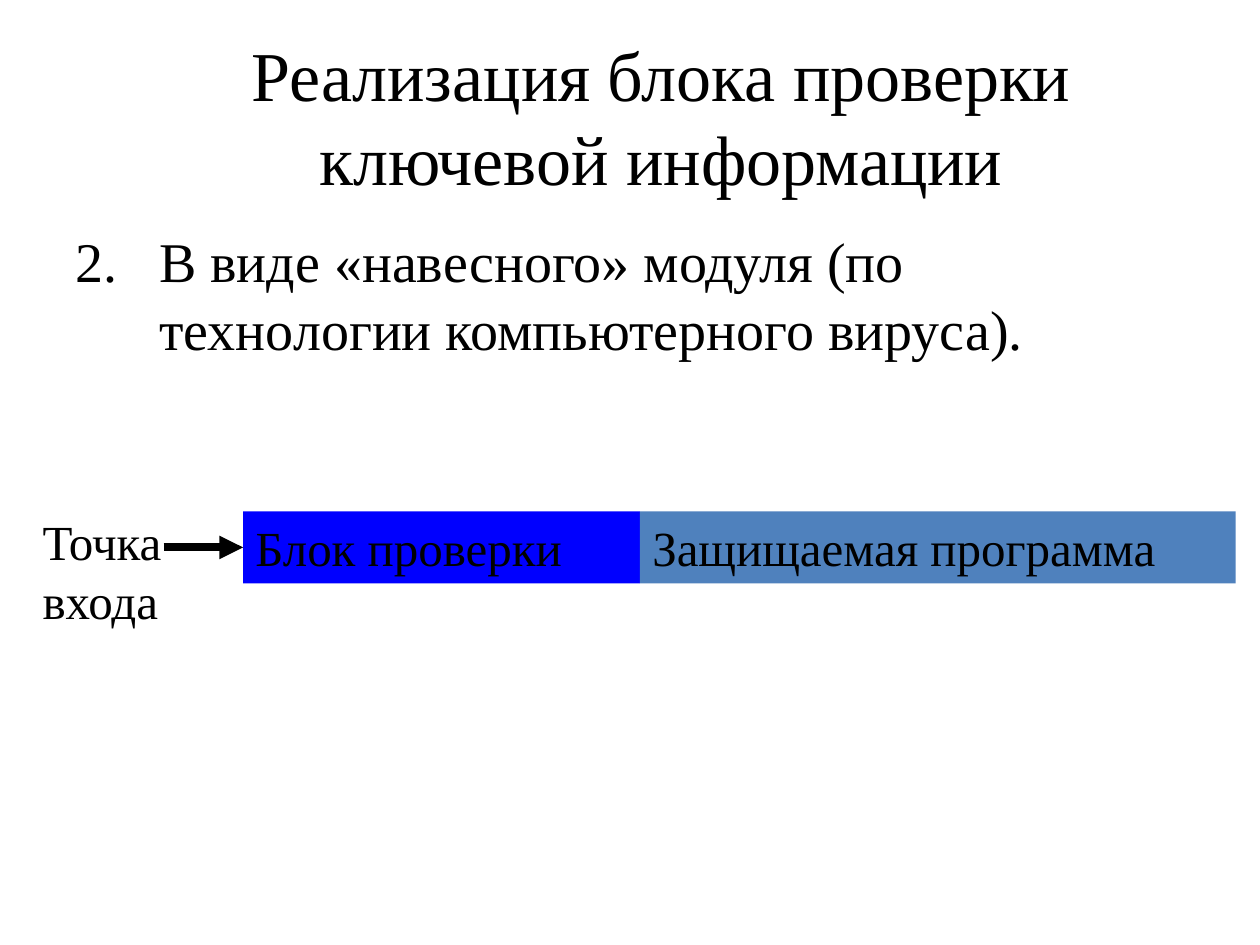
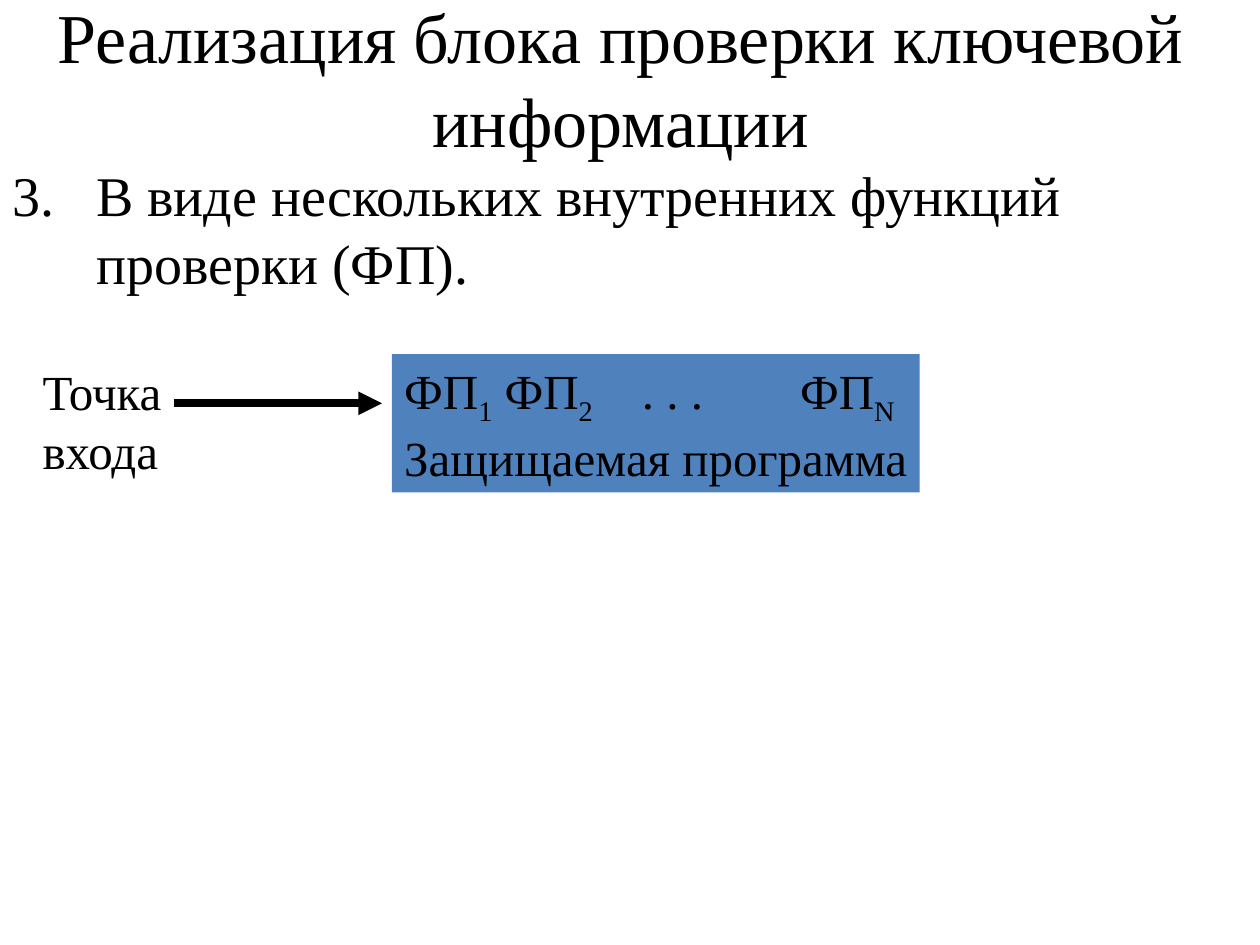
import pptx
import pptx.dml.color
import pptx.enum.shapes
import pptx.enum.text
import pptx.oxml
import pptx.oxml.ns
import pptx.util
from pptx.util import Cm

BLACK = pptx.dml.color.RGBColor(0x00, 0x00, 0x00)
PROGRAM_BLUE = pptx.dml.color.RGBColor(0x4F, 0x81, 0xBD)
CHECK_BLUE = pptx.dml.color.RGBColor(0x00, 0x00, 0xFF)
FONT_NAME = "Times New Roman"
TITLE_SIZE, ITEM_SIZE, LABEL_SIZE = 40, 32, 28

TITLE = "Реализация блока проверки ключевой информации"
ENTRY = "Точка\nвхода"
PROGRAM = "Защищаемая программа"

# Places are (left, top, width, height) in centimetres.
# Box text is a list of (text, is_subscript) pieces.
SLIDES = [
    {
        "title_place": (2.11, 0.74, 22.43, 3.18),
        "item": (2, "В виде «навесного» модуля (по технологии компьютерного вируса)."),
        "item_place": (1.27, 4.45, 22.86, 3.28),
        "entry_top": 10.19,
        "boxes": [
            ((4.9, 10.31, 8, 1.45), CHECK_BLUE, [("Блок проверки", False)]),
            ((12.9, 10.31, 12.01, 1.45), PROGRAM_BLUE, [(PROGRAM, False)]),
        ],
        "arrow": {"start": 3.3},
    },
    {
        "title_place": (0.89, 0, 23.24, 3.12),
        "item": (3, "В виде нескольких внутренних функций проверки (ФП)."),
        "item_place": (0, 3.12, 25.4, 3.4),
        "entry_top": 7.16,
        "boxes": [
            ((7.9, 7.14, 10.64, 2.79), PROGRAM_BLUE, [
                ("ФП", False), ("1", True), (" ФП", False), ("2", True),
                ("\t. . .\tФП", False), ("N", True), ("\n", False), (PROGRAM, False),
            ]),
        ],
        "arrow": {"start": 3.5, "end": 7.7, "height": 8.13},
    },
]
FUNCTION_TABS = (4.79, 7.98)


def cm_all(numbers):
    return [Cm(number) for number in numbers]


def add_xml(parent, tag, inner="", **attributes):
    pairs = "".join(f' {name}="{value}"' for name, value in attributes.items())
    namespace = pptx.oxml.ns.nsdecls("a")
    parent.append(pptx.oxml.parse_xml(f"<a:{tag} {namespace}{pairs}>{inner}</a:{tag}>"))


def style(para, size):
    para.font.name = FONT_NAME
    para.font.size = pptx.util.Pt(size)
    para.font.color.rgb = BLACK


def add_text(page, place, text, size, wrap=True):
    box = page.shapes.add_textbox(*cm_all(place))
    box.text_frame.word_wrap = wrap
    para = box.text_frame.paragraphs[0]
    para.text = text
    return box, para


def add_title(page, place):
    box, para = add_text(page, place, TITLE, TITLE_SIZE)
    box.text_frame.vertical_anchor = pptx.enum.text.MSO_ANCHOR.MIDDLE
    para.alignment = pptx.enum.text.PP_ALIGN.CENTER
    style(para, TITLE_SIZE)


def add_numbered_item(page, place, number, text):
    para = add_text(page, place, text, ITEM_SIZE)[1]
    para.space_before = pptx.util.Pt(8)
    properties = para._p.get_or_add_pPr()
    properties.set("marL", str(Cm(1.69)))
    properties.set("indent", str(-Cm(1.69)))
    add_xml(properties, "buClr", f'<a:srgbClr val="{BLACK}"/>')
    add_xml(properties, "buFont", typeface=FONT_NAME)
    add_xml(properties, "buAutoNum", type="arabicPeriod", startAt=number)
    style(para, ITEM_SIZE)


def add_entry_label(page, top):
    box, para = add_text(page, (0.61, top, 3.02, 2.64), ENTRY, LABEL_SIZE, wrap=False)
    box.text_frame.auto_size = pptx.enum.text.MSO_AUTO_SIZE.SHAPE_TO_FIT_TEXT
    style(para, LABEL_SIZE)


def add_box(page, place, colour, pieces):
    box = page.shapes.add_shape(pptx.enum.shapes.MSO_SHAPE.RECTANGLE, *cm_all(place))
    box.shadow.inherit = False
    box.fill.solid()
    box.fill.fore_color.rgb = colour
    box.line.fill.background()
    frame = box.text_frame
    frame.word_wrap = len(pieces) == 1
    frame.auto_size = pptx.enum.text.MSO_AUTO_SIZE.SHAPE_TO_FIT_TEXT
    frame.vertical_anchor = pptx.enum.text.MSO_ANCHOR.TOP
    para = frame.paragraphs[0]
    para.alignment = pptx.enum.text.PP_ALIGN.LEFT
    if len(pieces) > 1:
        stops = "".join(f'<a:tab pos="{Cm(stop)}" algn="l"/>' for stop in FUNCTION_TABS)
        add_xml(para._p.get_or_add_pPr(), "tabLst", stops)
    style(para, LABEL_SIZE)
    for text, is_subscript in pieces:
        if text == "\n":
            para.add_line_break()
            continue
        span = para.add_run()
        span.text = text
        if is_subscript:
            span._r.get_or_add_rPr().set("baseline", "-25000")
    return box


def add_arrow(page, target, start, end=None, height=None):
    """Draw a level arrow; without an end it is joined to the target's left side."""
    level = Cm(height) if height else target.top + target.height // 2
    finish = Cm(end) if end else target.left
    arrow = page.shapes.add_connector(
        pptx.enum.shapes.MSO_CONNECTOR.STRAIGHT, Cm(start), level, finish, level)
    if end is None:
        arrow.end_connect(target, 1)
    arrow.line.color.rgb = BLACK
    arrow.line.width = pptx.util.Pt(4.5)
    add_xml(arrow.line._get_or_add_ln(), "tailEnd", type="triangle")
    add_xml(arrow._element.spPr, "effectLst")


def main():
    deck = pptx.Presentation()
    deck.slide_width, deck.slide_height = Cm(25.4), Cm(19.05)
    for content in SLIDES:
        page = deck.slides.add_slide(deck.slide_layouts[6])
        add_title(page, content["title_place"])
        add_numbered_item(page, content["item_place"], *content["item"])
        add_entry_label(page, content["entry_top"])
        boxes = [add_box(page, *box) for box in content["boxes"]]
        add_arrow(page, boxes[0], **content["arrow"])
    deck.save("out.pptx")


if __name__ == "__main__":
    main()
